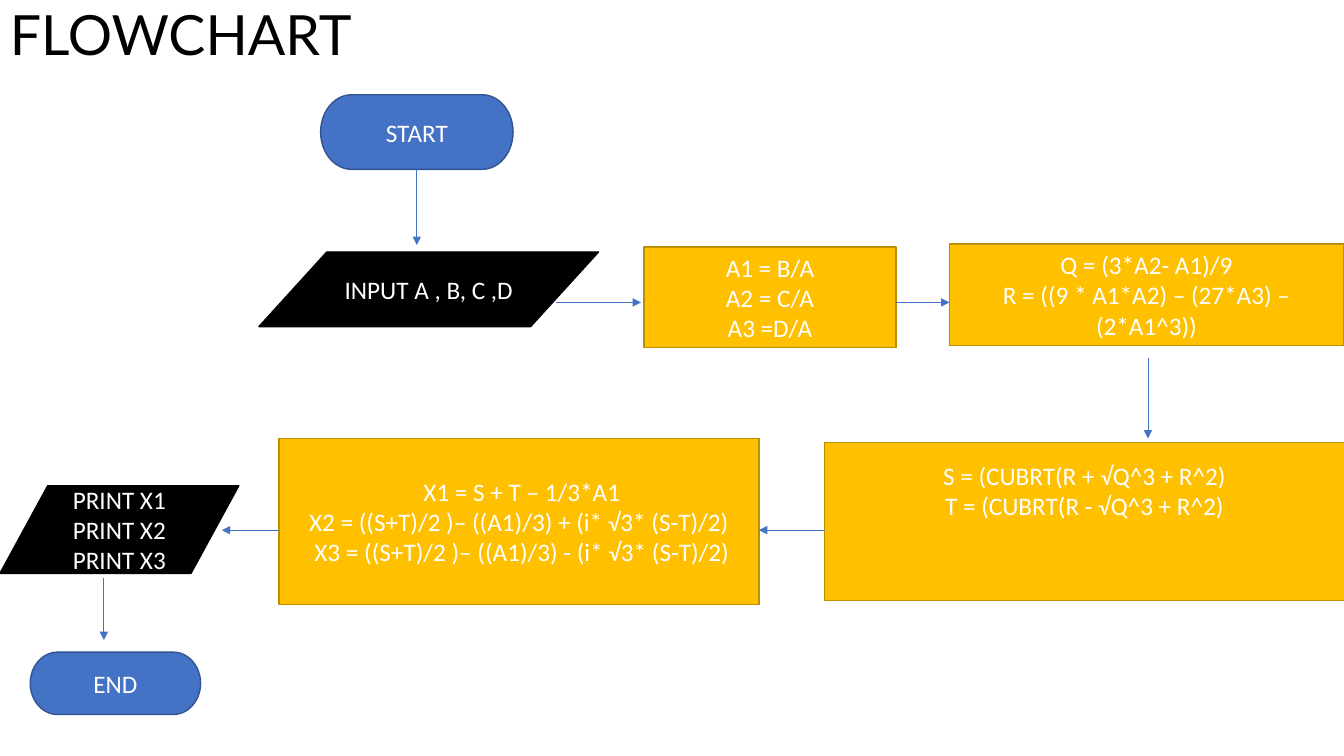
from dataclasses import dataclass

import pptx
import pptx.dml.color
import pptx.enum.dml
import pptx.enum.shapes
import pptx.enum.text
import pptx.oxml
import pptx.oxml.ns
import pptx.util

Pt = pptx.util.Pt
Shape = pptx.enum.shapes.MSO_SHAPE
Anchor = pptx.enum.text.MSO_ANCHOR


@dataclass(frozen=True)
class Theme:
    terminal: tuple = ("4472C4", "325491")
    data: tuple = ("000000", "000000")
    process: tuple = ("FFC000", "BD8E00")
    arrow: str = "4472C4"
    title_color: str = "000000"
    node_color: str = "FFFFFF"
    title_font: str = "Lato"
    node_font: str = "Calibri"
    title_size: float = 39.6
    node_size: float = 18
    outline: float = 1
    arrow_width: float = 0.5


@dataclass(frozen=True)
class Box:
    left: float
    top: float
    width: float
    height: float

    def inner(self, left, top, width, height):
        return Box(self.left + left, self.top + top, width, height)

    def point(self, across, down):
        return self.left + across, self.top + down

    def lengths(self):
        return Pt(self.left), Pt(self.top), Pt(self.width), Pt(self.height)


THEME = Theme()


def rgb(value):
    return pptx.dml.color.RGBColor.from_string(value)


def set_font(para, name, size, color):
    para.font.name = name
    para.font.size = Pt(size)
    para.font.color.rgb = rgb(color)


def add_node(page, box, kind, colors, lines):
    node = page.shapes.add_shape(kind, *box.lengths())
    node.shadow.inherit = False
    fill, outline = colors
    node.fill.solid()
    node.fill.fore_color.rgb = rgb(fill)
    node.line.color.rgb = rgb(outline)
    node.line.width = Pt(THEME.outline)
    frame = node.text_frame
    frame.word_wrap = True
    frame.vertical_anchor = Anchor.MIDDLE
    for index, line in enumerate(lines):
        para = frame.add_paragraph() if index else frame.paragraphs[0]
        para.text = line
        para.alignment = pptx.enum.text.PP_ALIGN.CENTER
        set_font(para, THEME.node_font, THEME.node_size, THEME.node_color)
    return node


def add_arrow(page, start, end):
    arrow = page.shapes.add_connector(
        pptx.enum.shapes.MSO_CONNECTOR.STRAIGHT, *map(Pt, start + end))
    arrow.line.color.rgb = rgb(THEME.arrow)
    arrow.line.width = Pt(THEME.arrow_width)
    head = pptx.oxml.parse_xml(
        f'<a:tailEnd {pptx.oxml.ns.nsdecls("a")} type="triangle"/>')
    arrow.line._get_or_add_ln().append(head)
    effects = pptx.oxml.parse_xml(
        f'<a:effectLst {pptx.oxml.ns.nsdecls("a")}/>')
    arrow._element.spPr.append(effects)
    return arrow


def draw_title(page, box):
    frame = page.shapes.add_textbox(*box.lengths()).text_frame
    frame.word_wrap = True
    frame.vertical_anchor = Anchor.MIDDLE
    para = frame.paragraphs[0]
    para.text = "FLOWCHART"
    para.line_spacing = 0.9
    set_font(para, THEME.title_font, THEME.title_size, THEME.title_color)


def draw_input_steps(page, box):
    start_box = box.inner(44, 0, 137.5, 53.3)
    start = add_node(page, start_box, Shape.FLOWCHART_TERMINATOR,
                     THEME.terminal, ["START"])
    middle = 44 + start_box.width / 2
    entry = add_arrow(page, box.point(middle, 53.3), box.point(middle, 107.3))
    entry.begin_connect(start, 2)
    add_node(page, box.inner(0, 112.3, 242.6, 53.3),
             Shape.FLOWCHART_DATA, THEME.data, ["INPUT A , B, C ,D"])
    add_node(page, box.inner(275, 108.7, 180, 72), Shape.RECTANGLE,
             THEME.process, ["A1 = B/A", "A2 = C/A", "A3 =D/A"])
    add_node(page, box.inner(493.2, 106.5, 281.5, 72.7), Shape.RECTANGLE,
             THEME.process,
             ["Q = (3*A2- A1)/9", "R = ((9 * A1*A2) – (27*A3) – (2*A1^3))"])
    for left, right in ((212.4, 272.9), (455, 493.2)):
        add_arrow(page, box.point(left, 148.3), box.point(right, 148.3))
    add_arrow(page, box.point(635, 188), box.point(635, 245.5))


def draw_root_steps(page, box):
    cubes = add_node(page, box.inner(589, 2.8, 371.2, 113),
                     Shape.RECTANGLE, THEME.process,
                     ["S = (CUBRT(R + √Q^3 + R^2)",
                      "T = (CUBRT(R - √Q^3 + R^2)"])
    cubes.text_frame.margin_bottom = Pt(47.6)
    add_node(page, box.inner(199.4, 0, 342.7, 118.8),
             Shape.RECTANGLE, THEME.process,
             [" X1 = S + T – 1/3*A1",
              "X2 = ((S+T)/2 )– ((A1)/3) + (i* √3* (S-T)/2)",
              " X3 = ((S+T)/2 )– ((A1)/3) - (i* √3* (S-T)/2)"])
    add_node(page, box.inner(0, 33.8, 170.6, 62.6),
             Shape.FLOWCHART_DATA, THEME.data,
             [f"PRINT X{number}" for number in range(1, 4)])
    for right, left in ((589, 542.1), (199.4, 158.4)):
        add_arrow(page, box.point(right, 65.5), box.point(left, 65.5))
    add_arrow(page, box.point(74.2, 99.4), box.point(74.2, 144))
    add_node(page, box.inner(21.6, 152.6, 121.7, 44.6),
             Shape.FLOWCHART_TERMINATOR, THEME.terminal, ["END"])


def main():
    deck = pptx.Presentation()
    deck.slide_width, deck.slide_height = Pt(960), Pt(540)
    page = deck.slides.add_slide(deck.slide_layouts[6])
    draw_title(page, Box(0, 0, 277.2, 53.3))
    draw_input_steps(page, Box(185, 67.7, 775, 245.5))
    draw_root_steps(page, Box(0, 313.2, 960, 197.2))
    deck.save("out.pptx")


if __name__ == "__main__":
    main()
